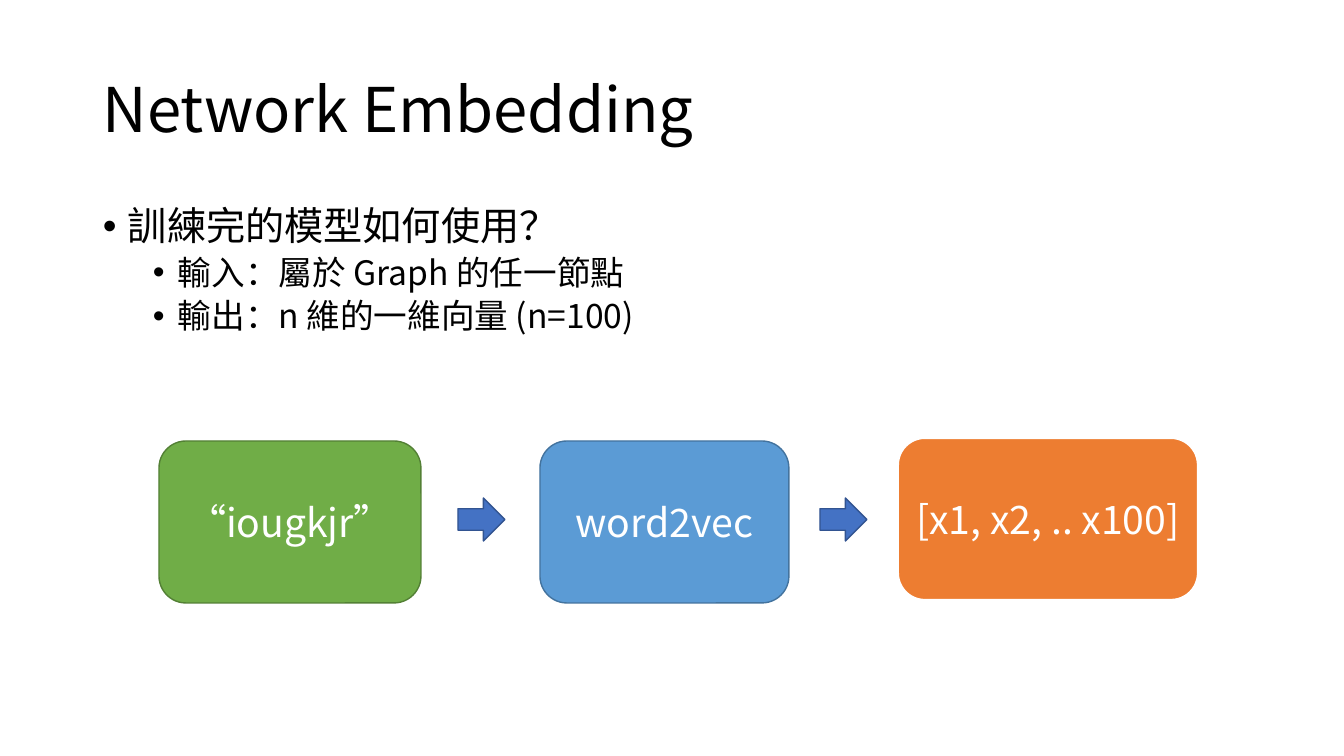
from lxml.etree import SubElement
from pptx import Presentation
from pptx.dml.color import RGBColor
from pptx.enum.shapes import MSO_SHAPE as Shape
from pptx.enum.text import MSO_ANCHOR as Anchor, PP_ALIGN as Align
from pptx.oxml.ns import qn
from pptx.util import Pt

PX = 914400 / 100.8
FONT = "Noto Sans CJK TC"
BLACK, WHITE = "000000", "FFFFFF"
BULLET_INDENT = 25
LEVEL_INDENT = 50


def px(length):
    return round(length * PX)


def color(value):
    return RGBColor.from_string(value)


def add_span(para, text, size, tint):
    span = para.add_run()
    span.text = text
    span.font.name = FONT
    span.font.size = Pt(size)
    span.font.color.rgb = color(tint)
    SubElement(span._r.get_or_add_rPr(), qn("a:ea"), typeface=FONT)


def add_text_box(page, left, top, width, height, anchor):
    box = page.shapes.add_textbox(px(left), px(top), px(width), px(height))
    frame = box.text_frame
    frame.word_wrap = True
    frame.vertical_anchor = anchor
    return frame


def add_title(page, text):
    para = add_text_box(page, 93, 40, 1159, 146, Anchor.MIDDLE).paragraphs[0]
    para.line_spacing = 0.9
    add_span(para, text, 44, BLACK)


def add_bullets(page, bullets):
    frame = add_text_box(page, 93, 202, 1159, 480, Anchor.TOP)
    for index, (level, text) in enumerate(bullets):
        para = frame.add_paragraph() if index else frame.paragraphs[0]
        para.level = level
        para.line_spacing = 0.9
        para.space_before = Pt(5 if level else 10)
        properties = para._p.get_or_add_pPr()
        properties.set("marL", str(px(BULLET_INDENT + level * LEVEL_INDENT)))
        properties.set("indent", str(px(-BULLET_INDENT)))
        SubElement(properties, qn("a:buFont"), typeface="Arial")
        SubElement(properties, qn("a:buChar"), char="•")
        add_span(para, text, 24 if level else 28, BLACK)


def add_block(page, kind, left, top, width, height, fill, line, line_width=1):
    block = page.shapes.add_shape(kind, px(left), px(top), px(width), px(height))
    block.shadow.inherit = False
    block.fill.solid()
    block.fill.fore_color.rgb = color(fill)
    block.line.color.rgb = color(line)
    block.line.width = Pt(line_width)
    return block


def add_stage(page, text, *look):
    frame = add_block(page, Shape.ROUNDED_RECTANGLE, *look).text_frame
    frame.word_wrap = True
    frame.vertical_anchor = Anchor.MIDDLE
    para = frame.paragraphs[0]
    para.alignment = Align.CENTER
    add_span(para, text, 28, WHITE)


def add_arrow(page, left):
    add_block(page, Shape.RIGHT_ARROW, left, 498, 47, 43, "4472C4", "325491")


def main():
    deck = Presentation()
    deck.slide_width, deck.slide_height = px(1344), px(756)
    page = deck.slides.add_slide(deck.slide_layouts[6])

    add_title(page, "Network Embedding")
    add_bullets(page, [
        (0, "訓練完的模型如何使用？"),
        (1, "輸入：屬於 Graph 的任一節點"),
        (1, "輸出：n 維的一維向量 (n=100)"),
    ])

    add_stage(page, "word2vec", 540, 441, 249, 162, "5B9BD5", "43739E")
    add_arrow(page, 458)
    add_stage(page, "[x1, x2, .. x100]", 898, 438, 300, 162, "ED7D31", WHITE, 1.5)
    add_arrow(page, 820)
    add_stage(page, "“iougkjr”", 159, 441, 262, 162, "70AD47", "538035")

    deck.save("out.pptx")


if __name__ == "__main__":
    main()
